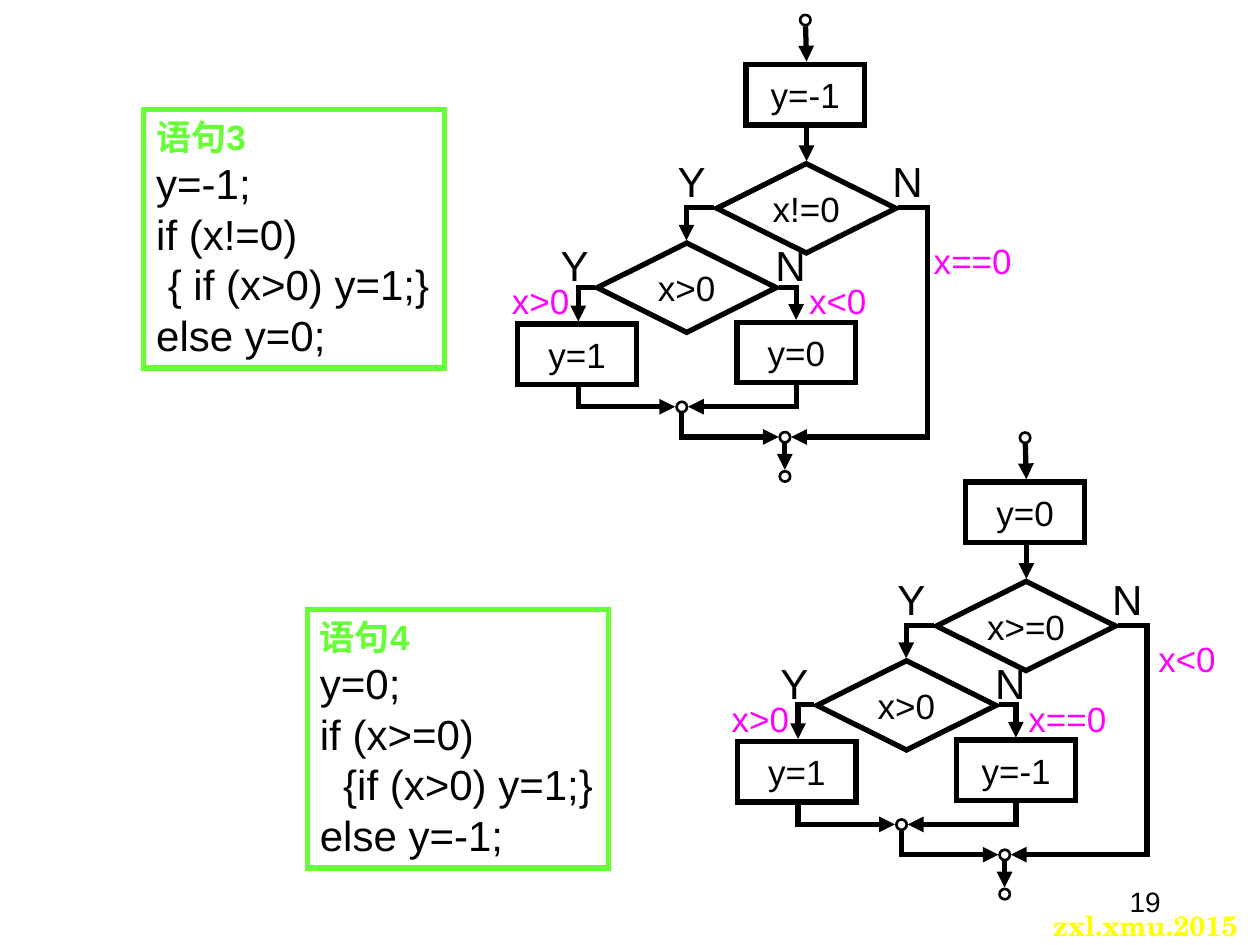
from lxml.etree import SubElement
from pptx import Presentation
from pptx.dml.color import RGBColor
from pptx.enum.shapes import MSO_CONNECTOR, MSO_SHAPE
from pptx.enum.text import MSO_ANCHOR, PP_ALIGN
from pptx.oxml.ns import qn
from pptx.util import Cm, Pt

BLACK = RGBColor(0x00, 0x00, 0x00)
WHITE = RGBColor(0xFF, 0xFF, 0xFF)
GREEN = RGBColor(0x66, 0xFF, 0x33)
PINK = RGBColor(0xFF, 0x00, 0xFF)
YELLOW = RGBColor(0xFF, 0xFF, 0x00)

deck = Presentation()
deck.slide_width, deck.slide_height = Cm(25.4), Cm(19.05)
slide = deck.slides.add_slide(deck.slide_layouts[6])


def write(x, y, w, h, lines, size, color=BLACK, align=PP_ALIGN.LEFT,
          kind=None, edge=BLACK, tab=None):
    place = Cm(x), Cm(y), Cm(w), Cm(h)
    if kind is None:
        shape = slide.shapes.add_textbox(*place)
    else:
        shape = slide.shapes.add_shape(kind, *place)
        shape.shadow.inherit = False
        shape.fill.background()
        shape.line.color.rgb = edge
        shape.line.width = Pt(3)
        outline = shape._element.spPr.find(qn("a:ln"))
        SubElement(outline, qn("a:miter"), lim="800000")
    frame = shape.text_frame
    frame.word_wrap = tab is not None
    frame.vertical_anchor = MSO_ANCHOR.TOP
    frame.text = "\n".join(lines)
    for para in frame.paragraphs:
        para.alignment = align
        if tab:
            stops = SubElement(para._p.get_or_add_pPr(), qn("a:tabLst"))
            SubElement(stops, qn("a:tab"), pos=str(Cm(tab)), algn="l")
        para.font.name = "Arial"
        para.font.size = Pt(size)
        para.font.color.rgb = color
    return shape


def link(kind, x1, y1, x2, y2):
    turn = None
    if kind == "down":
        turn = 270 if x2 > x1 else 90
        side = 1 if x2 > x1 else -1
        mx, my = (x1 + x2) / 2, (y1 + y2) / 2
        dx, dy = abs(x2 - x1) / 2, (y2 - y1) / 2
        x1, y1, x2, y2 = mx + side * dy, my - dx, mx - side * dy, my + dx
    form = MSO_CONNECTOR.STRAIGHT if kind == "line" else MSO_CONNECTOR.ELBOW
    wire = slide.shapes.add_connector(form, Cm(x1), Cm(y1), Cm(x2), Cm(y2))
    wire.line.color.rgb = BLACK
    wire.line.width = Pt(3)
    props = wire._element.spPr
    outline = props.find(qn("a:ln"))
    SubElement(outline, qn("a:miter"), lim="800000")
    SubElement(outline, qn("a:tailEnd"), type="triangle")
    SubElement(props, qn("a:effectLst"))
    geom = props.find(qn("a:prstGeom"))
    if kind in ("across", "down"):
        geom.set("prst", "bentConnector2")
    if kind == "around":
        guides = geom.find(qn("a:avLst"))
        SubElement(guides, qn("a:gd"), name="adj1", fmla="val -27100")
    if turn:
        props.find(qn("a:xfrm")).set("rot", str(turn * 60000))


mark = write(20.98, 18.19, 4.39, 0.94, ["zxl.xmu.2015"], 16, YELLOW)
mark.text_frame.paragraphs[0].font.name = "TeX Gyre Schola"
mark.text_frame.paragraphs[0].font.bold = True
page = write(17.93, 17.65, 5.72, 1.02, ["19"], 16, align=PP_ALIGN.RIGHT)
page.text_frame.vertical_anchor = MSO_ANCHOR.MIDDLE

diamond, box = MSO_SHAPE.DIAMOND, MSO_SHAPE.RECTANGLE
nodes = [
    (diamond, 14.45, 3.3, 3.61, 1.8),
    (diamond, 12.04, 4.9, 3.61, 1.8),
    (box, 15.04, 1.3, 2.39, 1.22),
    (box, 10.44, 6.53, 2.39, 1.22),
    (box, 14.86, 6.5, 2.39, 1.22),
]
dots = [(16.13, 0.3), (15.72, 8.71), (13.64, 8.1), (15.72, 9.5)]
links = [
    ("around", 18.11, 4.19, 15.95, 8.81),
    ("across", 14.4, 4.19, 13.84, 4.85),
    ("across", 11.99, 5.79, 11.66, 6.48),
    ("across", 15.7, 5.79, 16.05, 6.45),
    ("down", 11.66, 7.8, 13.61, 8.2),
    ("down", 16.05, 7.77, 13.87, 8.2),
    ("down", 13.74, 8.33, 15.7, 8.81),
    ("line", 16.24, 0.53, 16.26, 1.24),
    ("line", 15.82, 8.94, 15.82, 9.47),
    ("line", 16.26, 2.57, 16.26, 3.25),
]
charts = [
    (0, 0, ["x!=0", "x>0", "y=-1", "y=1", "y=0"],
     [("x<0", 16.05, 5.51, 1.68), ("x==0", 18.57, 4.7, 2.08),
      ("x>0", 10.06, 5.51, 1.68)]),
    (4.43, 8.42, ["x>=0", "x>0", "y=0", "y=1", "y=-1"],
     [("x<0", 18.66, 4.3, 1.68), ("x==0", 16.05, 5.51, 2.08),
      ("x>0", 10.06, 5.51, 1.68)]),
]
for left, top, words, notes in charts:
    for x, y in ((11.05, 4.7), (13.41, 3.02)):
        fork = write(left + x, top + y, 5.44, 1.27, ["Y\tN"], 24, tab=4.33)
        fork.text_frame.margin_right = 0
    for (kind, x, y, w, h), word in zip(nodes, words):
        node = write(left + x, top + y, w, h, [word], 20,
                     align=PP_ALIGN.CENTER, kind=kind)
        frame = node.text_frame
        frame.vertical_anchor = MSO_ANCHOR.MIDDLE
        if kind == diamond:
            frame.margin_left = frame.margin_right = 0
            frame.margin_top = frame.margin_bottom = 0
    for kind, x1, y1, x2, y2 in links:
        link(kind, left + x1, top + y1, left + x2, top + y2)
    for x, y in dots:
        dot = slide.shapes.add_shape(
            MSO_SHAPE.OVAL, Cm(left + x), Cm(top + y), Cm(0.21), Cm(0.21))
        dot.shadow.inherit = False
        dot.fill.solid()
        dot.fill.fore_color.rgb = WHITE
        dot.line.color.rgb = BLACK
        dot.line.width = Pt(1.5)
    for word, x, y, w in notes:
        write(left + x, top + y, w, 1.09, [word], 20, PINK, PP_ALIGN.CENTER)

codes = [
    (2.9, 2.21, ["语句3", "y=-1;", "if (x!=0)", " { if (x>0) y=1;}",
                 "else y=0;"]),
    (6.2, 12.29, ["语句4", "y=0;", "if (x>=0)", "  {if (x>0) y=1;}",
                  "else y=-1;"]),
]
for x, y, lines in codes:
    code = write(x, y, 6.07, 5.21, lines, 24, kind=box, edge=GREEN)
    head = code.text_frame.paragraphs[0].font
    head.size = Pt(20)
    head.bold = True
    head.color.rgb = GREEN

deck.save("out.pptx")
